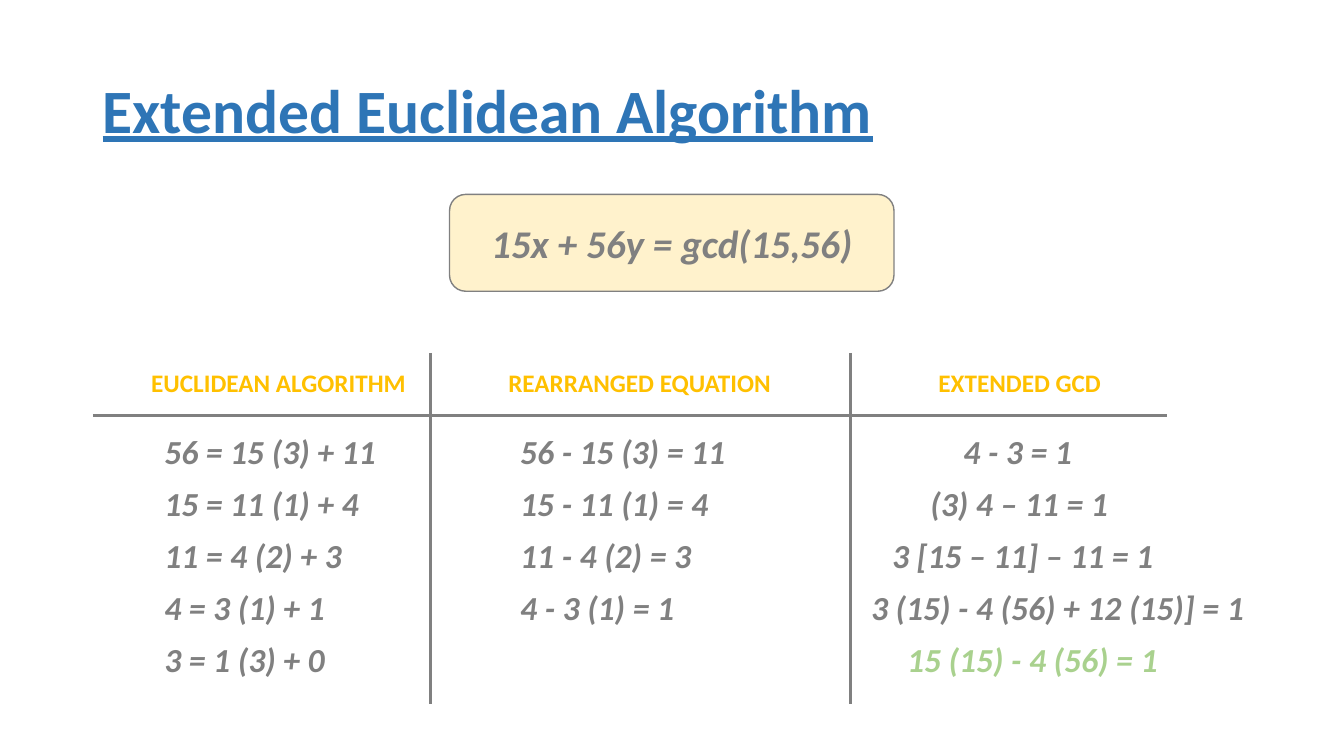
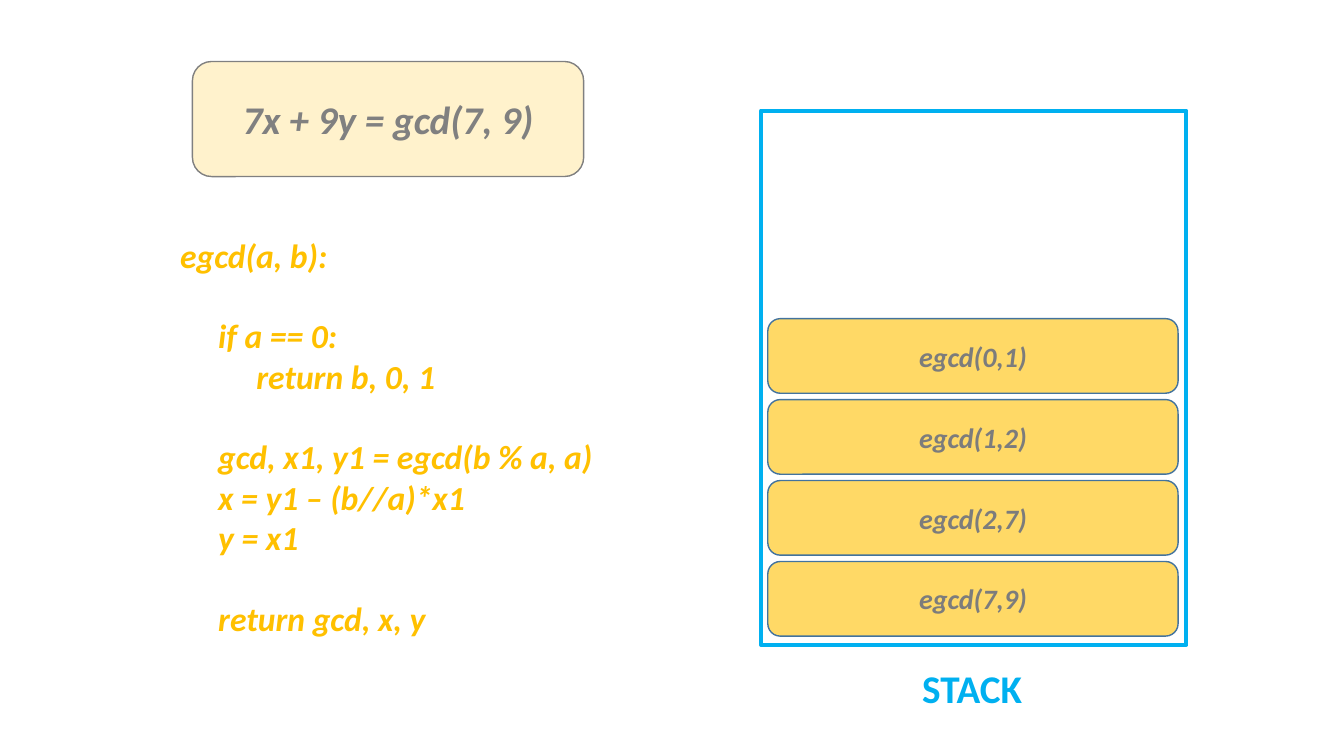
"""Builds two slides on the extended Euclidean algorithm."""
import dataclasses

import lxml.etree
import pptx
import pptx.dml.color
import pptx.enum.shapes
import pptx.enum.text
import pptx.oxml.ns
import pptx.util

Cm = pptx.util.Cm
Pt = pptx.util.Pt
Align = pptx.enum.text.PP_ALIGN
Anchor = pptx.enum.text.MSO_ANCHOR
Preset = pptx.enum.shapes.MSO_SHAPE


@dataclasses.dataclass(frozen=True)
class Theme:
    font: str = "Calibri"
    title: str = "2E75B6"
    gray: str = "808080"
    gold: str = "FFC000"
    green: str = "A9D18E"
    cyan: str = "00B0F0"
    cream: str = "FFF2CC"
    call_fill: str = "FFD966"
    call_line: str = "43739E"
    call_text: str = "7C7C7C"
    title_size: int = 44
    formula_size: int = 28
    body_size: int = 24
    call_size: int = 20
    header_size: int = 18
    line_pitch: float = 28.8
    code_indent: float = 0.96


THEME = Theme()

COLUMNS = [
    (8.51, ("EUCLIDEAN ALGORITHM", 1.47),
     [("56 = 15 (3) + 11", 1.8), ("15 = 11 (1) + 4", 1.8), ("11 = 4 (2) + 3", 1.8),
      ("4 = 3 (1) + 1", 1.8), ("3 = 1 (3) + 0", 1.8)]),
    (10.59, ("REARRANGED EQUATION", 1.96),
     [("56 - 15 (3) = 11", 2.26), ("15 - 11 (1) = 4", 2.26), ("11 - 4 (2) = 3", 2.26),
      ("4 - 3 (1) = 1", 2.26), ("", 2.26)]),
    (10.16, ("EXTENDED GCD", 2.21),
     [("4 - 3 = 1", 2.84), ("(3) 4 – 11 = 1", 2.01), ("3 [15 – 11] – 11 = 1", 1.04),
      ("3 (15) - 4 (56) + 12 (15)] = 1", 0.51), ("15 (15) - 4 (56) = 1", 1.42)]),
]

CODE = [
    (0, False, "egcd(a, b):"),
    (1, True, "if a == 0:"),
    (2, False, "return b, 0, 1"),
    (1, True, "gcd, x1, y1 = egcd(b % a, a)"),
    (1, False, "x = y1 – (b//a)*x1"),
    (1, False, "y = x1"),
    (1, True, "return gcd, x, y"),
]

CALLS = ["egcd(7,9)", "egcd(2,7)", "egcd(1,2)", "egcd(0,1)"]


def rgb(color):
    """Return a colour object for a hexadecimal string."""
    return pptx.dml.color.RGBColor.from_string(color)


def write(paragraph, text, *, size, color, italic=False, underline=False, align=Align.LEFT):
    """Put one bold, formatted run into a paragraph."""
    paragraph.alignment = align
    run = paragraph.add_run()
    run.text = text
    font = run.font
    font.name, font.size, font.bold = THEME.font, Pt(size), True
    font.italic, font.underline = italic, underline
    font.color.rgb = rgb(color)


def add_title(slide, text):
    """Place and format the title placeholder."""
    title = slide.shapes.title
    title.left, title.top, title.width, title.height = Cm(2.33), Cm(1.01), Cm(29.21), Cm(3.68)
    title.text_frame.vertical_anchor = Anchor.MIDDLE
    paragraph = title.text_frame.paragraphs[0]
    paragraph.line_spacing = 0.9
    write(paragraph, text, size=THEME.title_size, color=THEME.title, underline=True)


def add_box(slide, preset, left, top, width, height, *, line, weight=1, fill=None):
    """Add a preset shape with an outline and an optional fill."""
    shape = slide.shapes.add_shape(preset, Cm(left), Cm(top), Cm(width), Cm(height))
    shape.shadow.inherit = False
    if fill:
        shape.fill.solid()
        shape.fill.fore_color.rgb = rgb(fill)
    else:
        shape.fill.background()
    shape.line.color.rgb = rgb(line)
    shape.line.width = Pt(weight)
    return shape


def add_formula(slide, text, left, top, width, height):
    """Add the cream box that states the equation."""
    shape = add_box(slide, Preset.ROUNDED_RECTANGLE, left, top, width, height,
                    line=THEME.gray, fill=THEME.cream)
    write(shape.text_frame.paragraphs[0], text, size=THEME.formula_size,
          color=THEME.gray, italic=True, align=Align.CENTER)


def add_rule(slide, start, end):
    """Add a straight gray rule between two points."""
    connector = slide.shapes.add_connector(
        pptx.enum.shapes.MSO_CONNECTOR.STRAIGHT, *map(Cm, start + end))
    connector.line.color.rgb = rgb(THEME.gray)
    connector.line.width = Pt(2.25)
    lxml.etree.SubElement(connector._element.spPr, pptx.oxml.ns.qn("a:effectLst"))


def fill_cell(cell, text, indent, **text_format):
    """Write a transparent table cell with its own left indent."""
    cell.fill.background()
    cell.vertical_anchor = Anchor.MIDDLE
    cell.margin_left = Cm(indent)
    cell.margin_right = cell.margin_top = cell.margin_bottom = 0
    write(cell.text_frame.paragraphs[0], text, **text_format)


def add_steps_table(slide):
    """Add the table of calculation steps and its rules."""
    left, top, header_height, row_height = 2.34, 8.59, 2.18, 1.31
    row_count = 1 + len(COLUMNS[0][2])
    width = sum(column[0] for column in COLUMNS)
    height = header_height + row_height * (row_count - 1)
    table = slide.shapes.add_table(row_count, len(COLUMNS), Cm(left), Cm(top),
                                   Cm(width), Cm(height)).table
    table.first_row = table.horz_banding = False
    for index, row in enumerate(table.rows):
        row.height = Cm(row_height if index else header_height)

    edge = left
    for index, (column_width, header, steps) in enumerate(COLUMNS):
        table.columns[index].width = Cm(column_width)
        fill_cell(table.cell(0, index), *header, size=THEME.header_size, color=THEME.gold)
        for row, step in enumerate(steps, 1):
            is_result = index == len(COLUMNS) - 1 and row == len(steps)
            fill_cell(table.cell(row, index), *step, size=THEME.body_size, italic=True,
                      color=THEME.green if is_result else THEME.gray)
        if index:
            add_rule(slide, (edge, 8.89), (edge, 17.75))
        edge += column_width
    add_rule(slide, (left, 10.46), (29.41, 10.46))


def add_text_box(slide, left, top, width, height, wrap=True):
    """Add an empty text box and return its frame."""
    frame = slide.shapes.add_textbox(Cm(left), Cm(top), Cm(width), Cm(height)).text_frame
    frame.word_wrap = wrap
    return frame


def add_code(slide):
    """Add the function listing with real indents and gaps."""
    frame = add_text_box(slide, 4.29, 5.79, 10.97, 11.53, wrap=False)
    for index, (level, gap, text) in enumerate(CODE):
        paragraph = frame.add_paragraph() if index else frame.paragraphs[0]
        indent = Cm(level * THEME.code_indent)
        paragraph._p.get_or_add_pPr().set("marL", str(int(indent)))
        paragraph.space_before = Pt(THEME.line_pitch if gap else 0)
        write(paragraph, text, size=THEME.body_size, color=THEME.gold, italic=True)


def add_stack(slide):
    """Add the stack frame with its calls piled from the bottom."""
    add_box(slide, Preset.RECTANGLE, 19.18, 2.79, 10.72, 13.46, line=THEME.cyan, weight=3)
    label = add_text_box(slide, 22.99, 16.61, 3.1, 1.45)
    write(label.paragraphs[0], "STACK", size=THEME.formula_size, color=THEME.cyan)
    for depth, call in enumerate(CALLS):
        shape = add_box(slide, Preset.ROUNDED_RECTANGLE, 19.35, 14.15 - 2.04 * depth,
                        10.34, 1.88, line=THEME.call_line, fill=THEME.call_fill)
        write(shape.text_frame.paragraphs[0], call, size=THEME.call_size,
              color=THEME.call_text, italic=True, align=Align.CENTER)


def main():
    """Build and save the presentation."""
    presentation = pptx.Presentation()
    presentation.slide_width, presentation.slide_height = Cm(33.87), Cm(19.05)
    title_only, blank = presentation.slide_layouts[5], presentation.slide_layouts[6]

    slide = presentation.slides.add_slide(title_only)
    add_title(slide, "Extended Euclidean Algorithm")
    add_formula(slide, "15x + 56y = gcd(15,56)", 11.33, 4.9, 11.2, 2.44)
    add_steps_table(slide)

    slide = presentation.slides.add_slide(blank)
    add_formula(slide, "7x + 9y = gcd(7, 9)", 4.85, 1.55, 9.86, 2.9)
    add_code(slide)
    add_stack(slide)

    presentation.save("out.pptx")


if __name__ == "__main__":
    main()
